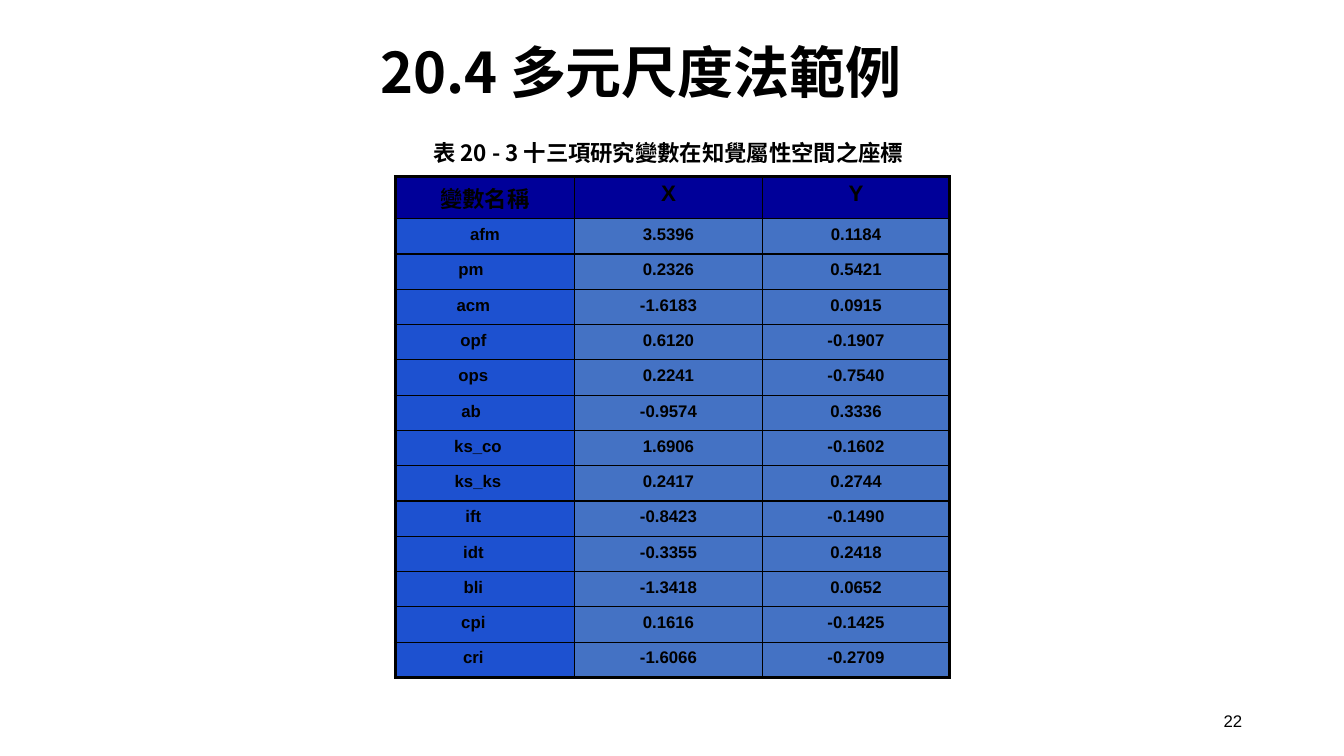
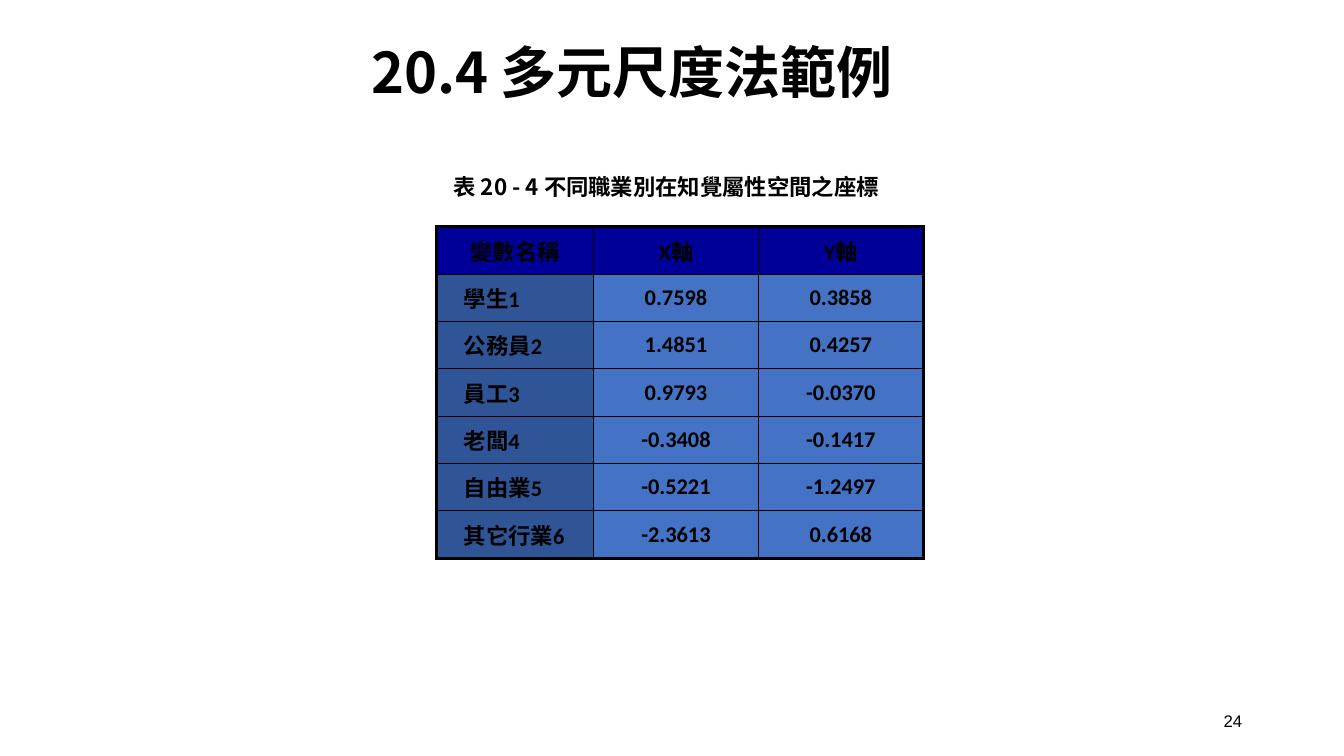
from dataclasses import dataclass
from typing import Optional

from lxml.etree import SubElement as Sub
from pptx import Presentation
from pptx.dml.color import RGBColor
from pptx.enum.text import MSO_ANCHOR as Anchor, MSO_AUTO_SIZE as Auto, PP_ALIGN as Align
from pptx.oxml.ns import qn
from pptx.util import Inches, Pt

# Shared look
BLACK = RGBColor(0x00, 0x00, 0x00)
NAVY = RGBColor(0x00, 0x00, 0x99)
BLUE = RGBColor(0x44, 0x72, 0xC4)
ROYAL = RGBColor(0x1D, 0x51, 0xD0)
STEEL = RGBColor(0x2F, 0x55, 0x97)
HAN = "Noto Sans CJK SC"
TITLE = "20.4 多元尺度法範例"
THICK, THIN = 2.25, 1
SPACE = 0.046  # width of one blank in the label column


@dataclass
class Grid:
    left: float
    top: float
    cols: list[float]
    head: float  # height of the header row
    step: float  # height of the other rows
    rows: list[tuple[str, str, str]]
    font: str
    size: float
    side: RGBColor  # fill of the label column
    top_head: bool = False
    lead: Optional[float] = None
    indent: float = 0
    pad: int = 0  # label length, in characters, that is centred


@dataclass
class Page:
    num: int
    left: float
    width: float
    note: str
    box: tuple[float, float, float, float]
    grid: Grid


PAGES = [
    Page(22, 3.67, 7.08, "表 20 - 3 十三項研究變數在知覺屬性空間之座標", (4.08, 1.33, 5.1, 0.37),
         Grid(3.92, 1.75, [1.78, 1.86, 1.86], 0.39, 0.35, [
             ("變數名稱", "X", "Y"),
             ("afm", "3.5396", "0.1184"),
             ("pm", "0.2326", "0.5421"),
             ("acm", "-1.6183", "0.0915"),
             ("opf", "0.6120", "-0.1907"),
             ("ops", "0.2241", "-0.7540"),
             ("ab", "-0.9574", "0.3336"),
             ("ks_co", "1.6906", "-0.1602"),
             ("ks_ks", "0.2417", "0.2744"),
             ("ift", "-0.8423", "-0.1490"),
             ("idt", "-0.3355", "0.2418"),
             ("bli", "-1.3418", "0.0652"),
             ("cpi", "0.1616", "-0.1425"),
             ("cri", "-1.6066", "-0.2709"),
         ], "Arial", 12, ROYAL, top_head=True, lead=11, pad=8)),
    Page(24, 3.58, 7.17, "表 20 - 4 不同職業別在知覺屬性空間之座標", (4.33, 1.67, 4.56, 0.37),
         Grid(4.33, 2.25, [1.56, 1.63, 1.64], 0.47, 0.47, [
             ("變數名稱", "X軸", "Y軸"),
             ("學生1", "0.7598", "0.3858"),
             ("公務員2", "1.4851", "0.4257"),
             ("員工3", "0.9793", "-0.0370"),
             ("老闆4", "-0.3408", "-0.1417"),
             ("自由業5", "-0.5221", "-1.2497"),
             ("其它行業6", "-2.3613", "0.6168"),
         ], "Calibri", 16, STEEL, indent=0.2)),
]


def write(frame, text: str, *, size: float, font: str = HAN, bold: bool = True,
          align=Align.CENTER, lead: Optional[float] = None) -> None:
    """Put one formatted paragraph in a text frame."""
    para = frame.paragraphs[0]
    para.alignment = align
    if lead:
        para.line_spacing = Pt(lead)
    run = para.add_run()
    run.text = text
    run.font.size, run.font.bold, run.font.name = Pt(size), bold, font
    run.font.color.rgb = BLACK
    Sub(run._r.get_or_add_rPr(), qn("a:ea"), typeface=HAN)


def place(shape, left: float, top: float, width: float, height: float):
    """Move a shape and return its middle-anchored text frame."""
    shape.left, shape.top = Inches(left), Inches(top)
    shape.width, shape.height = Inches(width), Inches(height)
    frame = shape.text_frame
    frame.word_wrap, frame.auto_size = True, Auto.NONE
    frame.vertical_anchor = Anchor.MIDDLE
    return frame


def label(slide, box: tuple[float, float, float, float], text: str, **form) -> None:
    shape = slide.shapes.add_textbox(0, 0, 0, 0)
    write(place(shape, *box), text, **form)


def edge(cell, side: str, width: float) -> None:
    line = Sub(cell._tc.get_or_add_tcPr(), qn(f"a:ln{side}"), w=str(Pt(width)))
    fill = Sub(line, qn("a:solidFill"))
    Sub(fill, qn("a:srgbClr"), val=str(BLACK))


def inset(cell, left: float, right: float, ends: float) -> None:
    cell.margin_left, cell.margin_right = Inches(left), Inches(right)
    cell.margin_top = cell.margin_bottom = Inches(ends)


def draw(slide, grid: Grid) -> None:
    """Draw a table with thick outer and thin inner lines."""
    last, end = len(grid.rows) - 1, len(grid.cols) - 1
    tall = grid.head + grid.step * last
    table = slide.shapes.add_table(
        last + 1, end + 1, Inches(grid.left), Inches(grid.top),
        Inches(sum(grid.cols)), Inches(tall)).table
    table.first_row = table.horz_banding = False
    for col, width in zip(table.columns, grid.cols):
        col.width = Inches(width)
    for r, row in enumerate(grid.rows):
        table.rows[r].height = Inches(grid.step if r else grid.head)
        for c, text in enumerate(row):
            cell = table.cell(r, c)
            # Borders come before the fill
            outer = {"L": c == 0, "R": c == end, "T": r == 0, "B": r == last}
            for side, out in outer.items():
                edge(cell, side, THICK if out else THIN)
            cell.fill.solid()
            cell.fill.fore_color.rgb = NAVY if r == 0 else BLUE if c else grid.side
            cell.vertical_anchor = Anchor.MIDDLE
            if r == 0:
                inset(cell, 0.1, 0.1, 0.05)
                if grid.top_head:
                    cell.vertical_anchor = Anchor.TOP
                write(cell.text_frame, text, size=16, font=grid.font)
                continue
            # Labels after the first lean left of centre
            lean = SPACE * (grid.pad - len(text)) if grid.pad and c == 0 and r > 1 else 0
            indent = 0 if c else grid.indent
            inset(cell, 0.07 + indent, 0.07 + lean, 0)
            write(cell.text_frame, text, size=grid.size, font=grid.font, lead=grid.lead,
                  align=Align.LEFT if indent else Align.CENTER)


def build(deck, page: Page) -> None:
    slide = deck.slides.add_slide(deck.slide_layouts[5])
    # Title
    frame = place(slide.shapes.title, page.left, 0.25, page.width, 0.92)
    write(frame, TITLE, size=40, align=Align.LEFT)
    # Caption, table and page number
    label(slide, page.box, page.note, size=16)
    draw(slide, page.grid)
    label(slide, (9.42, 6.95, 3, 0.4), str(page.num), size=12, font="Arial",
          bold=False, align=Align.RIGHT)


def main() -> None:
    deck = Presentation()
    deck.slide_width, deck.slide_height = Inches(13.33), Inches(7.5)
    for page in PAGES:
        build(deck, page)
    deck.save("out.pptx")


if __name__ == "__main__":
    main()
